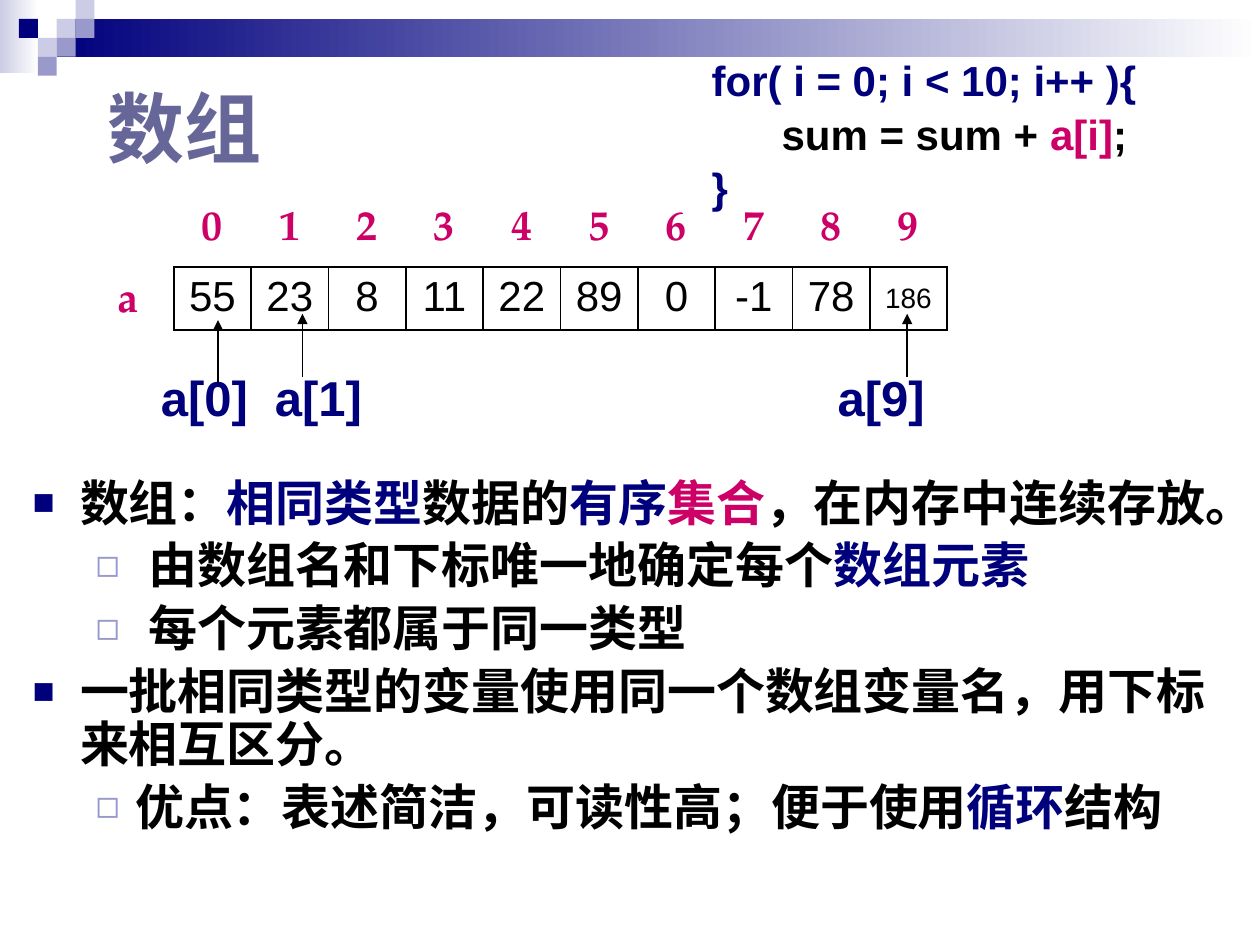
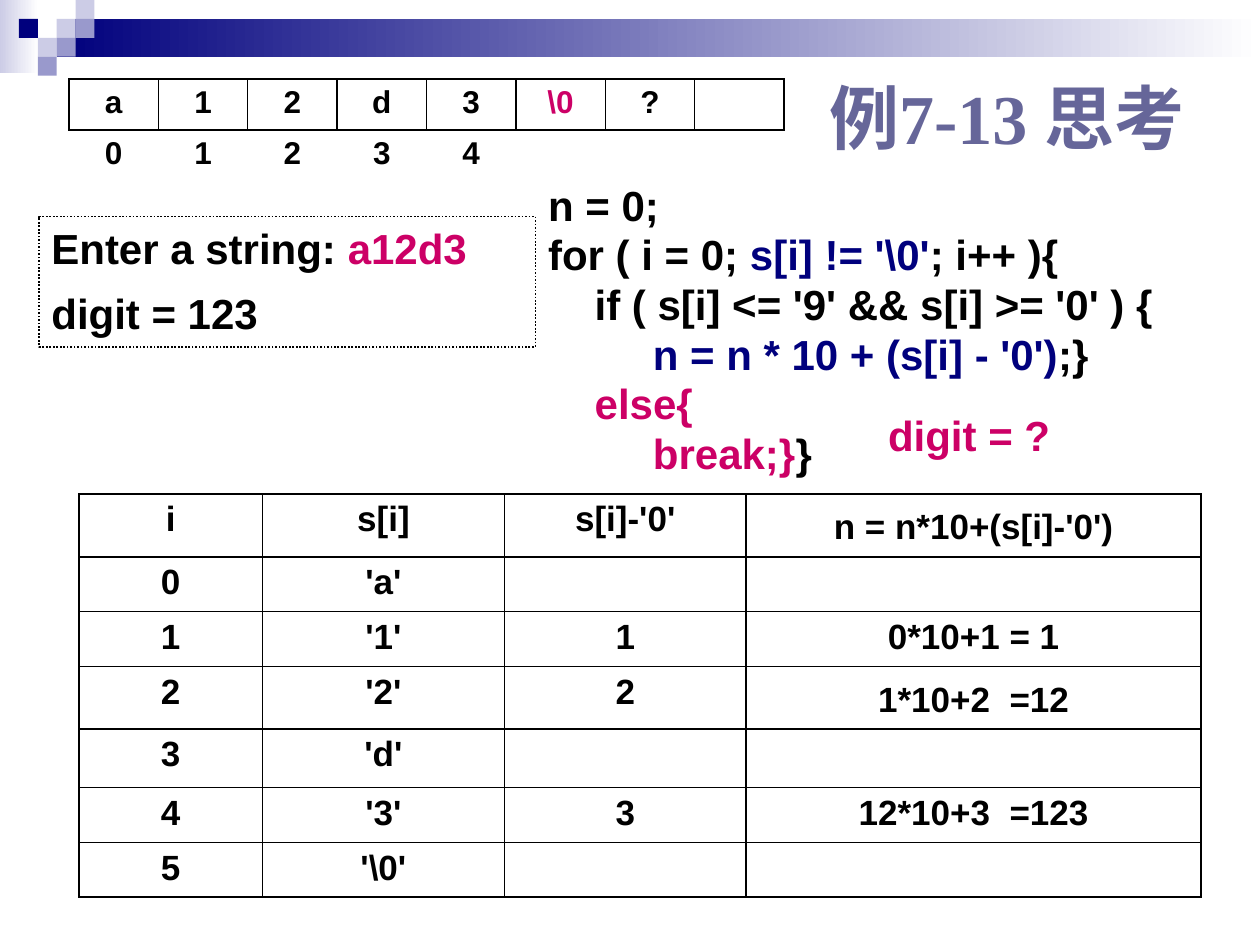
from lxml.etree import SubElement
from pptx import Presentation
from pptx.dml.color import RGBColor
from pptx.enum.dml import MSO_LINE
from pptx.enum.shapes import MSO_CONNECTOR, MSO_SHAPE
from pptx.enum.text import MSO_ANCHOR as Anchor, MSO_AUTO_SIZE as AutoSize, PP_ALIGN as Align
from pptx.oxml.ns import qn
from pptx.util import Pt

COLORS = {
    "navy": "00007D",
    "mid": "9999CC",
    "pale": "CCCCE6",
    "white": "FFFFFF",
    "black": "000000",
    "pink": "CC0066",
    "title": "666699",
}
SERIF = "TeX Gyre Pagella"
SQUARE = 10.8


def rgb(name):
    return RGBColor.from_string(COLORS[name])


def add_bullet(para, char, color, percent):
    props = para._p.get_or_add_pPr()
    if not char:
        SubElement(props, qn("a:buNone"))
        return
    tint = SubElement(props, qn("a:buClr"))
    SubElement(tint, qn("a:srgbClr"), val=COLORS[color])
    SubElement(props, qn("a:buSzPct"), val=str(percent * 1000))
    SubElement(props, qn("a:buChar"), char=char)


def write(para, text, size=24, font="Arial", color="black", bold=True, align=Align.LEFT,
          spacing=1.0, before=0, margin=0, indent=0, bullet=(None, None, None)):
    add_bullet(para, *bullet)
    props = para._p.get_or_add_pPr()
    props.set("marL", str(Pt(margin)))
    props.set("indent", str(Pt(indent)))
    para.alignment = align
    para.line_spacing = spacing
    para.space_before = Pt(before)
    spans = [(text, color)] if isinstance(text, str) else text
    for words, tint in spans:
        span = para.add_run()
        span.text = words
        span.font.size = Pt(size)
        span.font.name = font
        span.font.bold = bold
        span.font.color.rgb = rgb(tint)


def write_lines(frame, lines, before=0, **style):
    frame.word_wrap = True
    frame.auto_size = AutoSize.NONE
    for number, line in enumerate(lines):
        para = frame.add_paragraph() if number else frame.paragraphs[0]
        own = {}
        if isinstance(line, dict):
            own = {key: value for key, value in line.items() if key != "text"}
            line = line["text"]
        write(para, line, before=before if number else 0, **{**style, **own})


def place(shape, left, top, width, height):
    shape.left, shape.top, shape.width, shape.height = map(Pt, (left, top, width, height))
    return shape


def add_text(page, area, lines, **style):
    box = page.shapes.add_textbox(*map(Pt, area))
    write_lines(box.text_frame, lines, **style)


def add_title(page, area, text, **style):
    title = place(page.shapes.title, *area)
    title.text_frame.vertical_anchor = Anchor.MIDDLE
    write_lines(title.text_frame, [text], color="title", **style)


def add_body(page, area, lines, **style):
    body = place(page.placeholders[1], *area)
    write_lines(body.text_frame, lines, **style)


def add_arrow(page, x, bottom, top):
    arrow = page.shapes.add_connector(MSO_CONNECTOR.STRAIGHT, Pt(x), Pt(bottom), Pt(x), Pt(top))
    arrow.line.color.rgb = rgb("black")
    arrow.line.width = Pt(1)
    shape_props = arrow.element.spPr
    SubElement(shape_props.find(qn("a:ln")), qn("a:tailEnd"), type="triangle")
    SubElement(shape_props, qn("a:effectLst"))


def add_dotted_box(page, area, lines, **style):
    box = page.shapes.add_shape(MSO_SHAPE.RECTANGLE, *map(Pt, area))
    box.shadow.inherit = False
    box.fill.background()
    box.line.color.rgb = rgb("black")
    box.line.width = Pt(1)
    box.line.dash_style = MSO_LINE.ROUND_DOT
    box.text_frame.vertical_anchor = Anchor.TOP
    write_lines(box.text_frame, lines, **style)


def set_borders(cell, sides):
    props = cell._tc.get_or_add_tcPr()
    for side in "LRTB":
        line = SubElement(props, qn("a:ln" + side), w=str(Pt(1)))
        if side in sides:
            fill = SubElement(line, qn("a:solidFill"))
            SubElement(fill, qn("a:srgbClr"), val=COLORS["black"])
        else:
            SubElement(line, qn("a:noFill"))


def add_grid(page, left, top, widths, heights, rows, styles, borders):
    frame = page.shapes.add_table(len(heights), len(widths), Pt(left), Pt(top),
                                  Pt(sum(widths)), Pt(sum(heights)))
    table = frame.table
    table.first_row = table.horz_banding = False
    for column, width in zip(table.columns, widths):
        column.width = Pt(width)
    for row, height in zip(table.rows, heights):
        row.height = Pt(height)
    for r, (row, style, sides) in enumerate(zip(rows, styles, borders)):
        for c in range(len(widths)):
            cell = table.cell(r, c)
            set_borders(cell, sides)
            cell.fill.background()
            entry = row[c] if c < len(row) else ""
            own = {}
            if isinstance(entry, dict):
                own = {key: value for key, value in entry.items() if key not in ("text", "anchor")}
                cell.vertical_anchor = entry.get("anchor", Anchor.TOP)
                entry = entry["text"]
            if entry:
                write(cell.text_frame.paragraphs[0], entry, align=Align.CENTER, **{**style, **own})


def add_block(group, area, *colors):
    block = group.shapes.add_shape(MSO_SHAPE.RECTANGLE, *map(Pt, area))
    block.shadow.inherit = False
    block.line.fill.background()
    if len(colors) == 1:
        block.fill.solid()
        block.fill.fore_color.rgb = rgb(colors[0])
        return
    block.fill.gradient()
    block.fill.gradient_angle = 0
    for stop, color in zip(block.fill.gradient_stops, colors):
        stop.color.rgb = rgb(color)


def add_shared_band(page):
    layout = page.slide_layout
    for spare in list(layout.placeholders)[2:]:
        spare.element.getparent().remove(spare.element)
    group = page.shapes.add_group_shape()
    add_block(group, (0, 0, 22, 42), "pale", "white")
    add_block(group, (3 * SQUARE, SQUARE, 720 - 3 * SQUARE, 2 * SQUARE), "navy", "white")
    squares = [(3, 1, "pale"), (4, 0, "pale"), (4, 1, "mid"), (2, 2, "pale"),
               (1, 1, "navy"), (3, 2, "mid"), (2, 3, "mid")]
    for column, row, color in squares:
        add_block(group, (column * SQUARE, row * SQUARE, SQUARE, SQUARE), color)
    layout.shapes.element.insert(2, group.element)


def build_array_page(page):
    add_title(page, (54, 37.5, 129, 70), "数组", size=44)
    values = ["55", "23", "8", "11", "22", "89", "0", "-1", "78",
              {"text": "186", "size": 16, "anchor": Anchor.MIDDLE}]
    add_grid(page, 99.3, 116.6, [44.2] * 10, [36, 36],
             [[str(index) for index in range(10)], values],
             [{"font": SERIF, "color": "pink"}, {"bold": False}], ["B", "LRTB"])
    add_text(page, (399.6, 26, 317.5, 96.5), [
        [("for( i = 0; i < 10; i++ ){", "navy")],
        [("      sum = sum + ", "black"), ("a[i]", "pink"), (";", "black")],
        [("}", "navy")],
    ], spacing=1.06)
    add_text(page, (59.8, 151.2, 28, 36), ["a"], font=SERIF, color="pink")
    elements = [("a[0]", 84.8, 124.6, 182.9), ("a[1]", 150, 172.8, 179.3),
                ("a[9]", 471.6, 518.4, 179.3)]
    for name, left, arrow_x, tip in elements:
        add_text(page, (left, 206.6, 70, 40), [name], size=28, color="navy")
        add_arrow(page, arrow_x, tip + 36, tip)

    main = {"margin": 27, "indent": -27, "bullet": ("■", "navy", 75)}
    wide = {"margin": 66, "indent": -30, "bullet": ("◻", "mid", 80)}
    narrow = {**wide, "margin": 58.5, "indent": -22.5}
    add_body(page, (11.5, 270, 695, 252), [
        {"text": [("数组：", "black"), ("相同类型", "navy"), ("数据的", "black"),
                  ("有序", "navy"), ("集合", "pink"), ("，在内存中连续存放。", "black")], **main},
        {"text": [("由数组名和下标唯一地确定每个", "black"), ("数组元素", "navy")], **wide},
        {"text": "每个元素都属于同一类型", **wide},
        {"text": "一批相同类型的变量使用同一个数组变量名，用下标来相互区分。", **main},
        {"text": [("优点：表述简洁，可读性高；便于使用", "black"), ("循环", "navy"),
                  ("结构", "black")], **narrow},
    ], size=28, spacing=0.9, before=5.6)


def build_digits_page(page):
    hanging = {"margin": 27, "indent": -27}
    add_title(page, (466.6, 33.8, 236, 54), "例7-13 思考", size=40,
              font="Times New Roman", spacing=1.24, **hanging)
    add_body(page, (306, 102.2, 391.7, 173.5), [
        "n = 0;",
        [("for ( i = 0; ", "black"), ("s[i] != '\\0'", "navy"), ("; i++ ){", "black")],
        "    if ( s[i] <= '9' && s[i] >= '0' ) {",
        [("         n = n * 10 + (s[i] - '0')", "navy"), (";}", "black")],
        [("    else{", "pink")],
        [("         break;}", "pink"), ("}", "black")],
    ], align=Align.JUSTIFY, spacing=0.9, before=2.4, **hanging)
    add_dotted_box(page, (22.3, 123.8, 283.7, 74.5), [
        [("Enter a string: ", "black"), ("a12d3", "pink")],
        "digit = 123",
    ], before=8)
    add_grid(page, 39.4, 45, [51.1] * 8, [28.4, 28.4],
             [["a", "1", "2", "d", "3", {"text": "\\0", "color": "pink"}, "?"],
              [str(index) for index in range(5)]],
             [{"size": 18}] * 2, ["LRTB", "T"])
    heights = [36, 31.4, 31.4, 35.6, 33.6, 31.2, 31.2]
    rows = [
        ["i", "s[i]", "s[i]-'0'", {"text": "n = n*10+(s[i]-'0')", "spacing": 1.2}],
        ["0", "'a'"],
        ["1", "'1'", "1", "0*10+1 = 1"],
        ["2", "'2'", "2", {"text": "1*10+2  =12", "spacing": 1.2}],
        ["3", "'d'"],
        ["4", "'3'", "3", "12*10+3  =123"],
        ["5", "'\\0'"],
    ]
    add_grid(page, 45, 282.2, [105, 138.2, 138.2, 260], heights, rows,
             [{"size": 20}] * len(rows), ["LRTB"] * len(rows))
    add_text(page, (500.4, 230.4, 118, 36.7), ["digit = ?"], color="pink")


def main():
    deck = Presentation()
    deck.slide_width, deck.slide_height = Pt(720), Pt(540)
    layout = deck.slide_layouts[1]
    array_page = deck.slides.add_slide(layout)
    add_shared_band(array_page)
    build_array_page(array_page)
    build_digits_page(deck.slides.add_slide(layout))
    deck.save("out.pptx")


if __name__ == "__main__":
    main()
